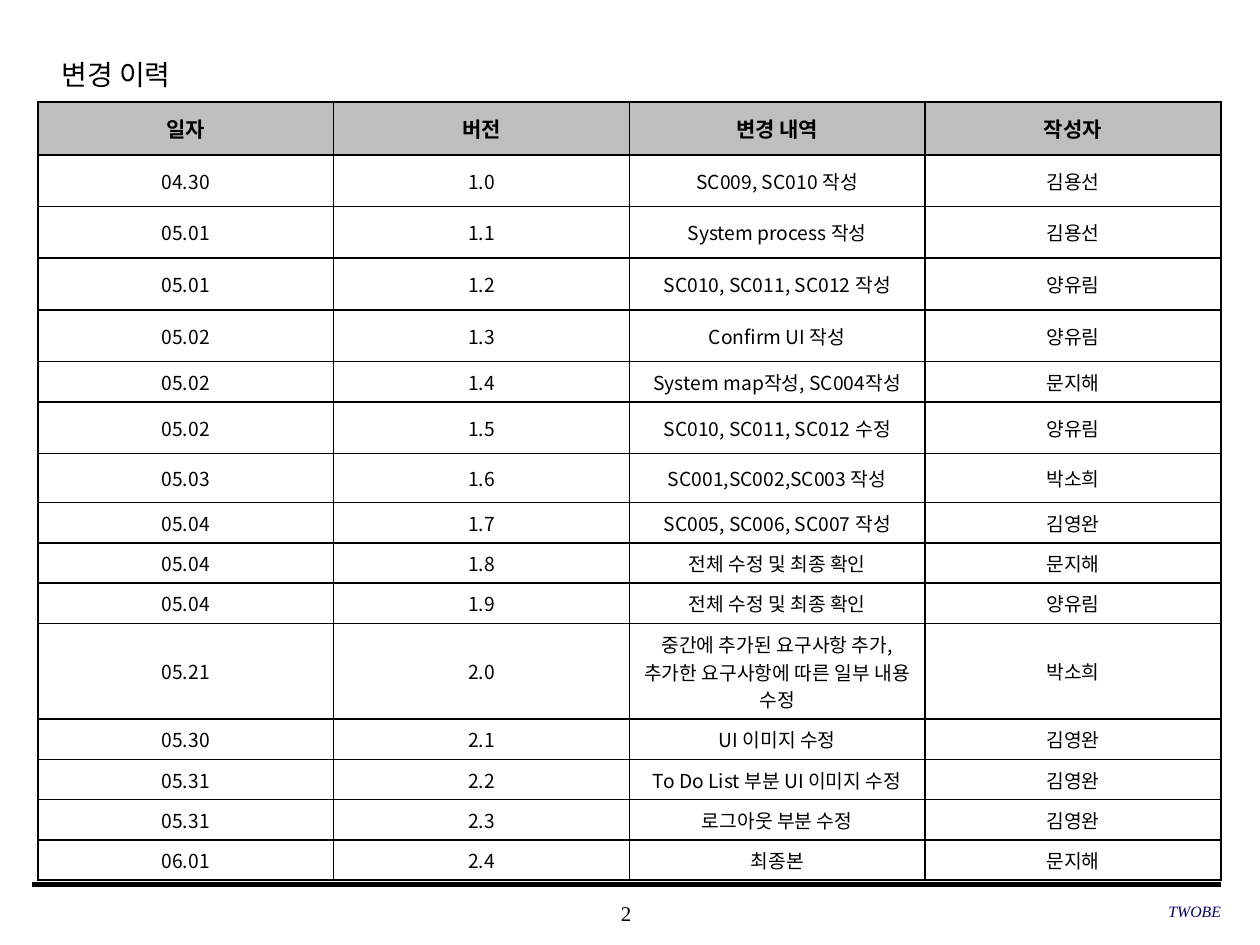
import pptx
import pptx.dml.color
import pptx.enum.text
import pptx.util
from lxml import etree
from pptx.oxml.ns import qn
from pptx.util import Inches

COLORS = {"ink": "000000", "header": "BFBFBF", "cell": "FFFFFF", "team": "000066"}
SERIF = "Times New Roman"
SANS = "Noto Sans CJK KR"
ALIGN = pptx.enum.text.PP_ALIGN
MIDDLE = pptx.enum.text.MSO_ANCHOR.MIDDLE

HEADINGS = ("일자", "버전", "변경 내역", "작성자")
# Date, version, change, author, row height
REVISIONS = [
    ("04.30", "1.0", "SC009, SC010 작성", "김용선", 0.41),
    ("05.01", "1.1", "System process 작성", "김용선", 0.41),
    ("05.01", "1.2", "SC010, SC011, SC012 작성", "양유림", 0.41),
    ("05.02", "1.3", "Confirm UI 작성", "양유림", 0.41),
    ("05.02", "1.4", "System map작성, SC004작성", "문지해", 0.32),
    ("05.02", "1.5", "SC010, SC011, SC012 수정", "양유림", 0.41),
    ("05.03", "1.6", "SC001,SC002,SC003 작성", "박소희", 0.39),
    ("05.04", "1.7", "SC005, SC006, SC007 작성", "김영완", 0.32),
    ("05.04", "1.8", "전체 수정 및 최종 확인", "문지해", 0.32),
    ("05.04", "1.9", "전체 수정 및 최종 확인", "양유림", 0.32),
    ("05.21", "2.0", "중간에 추가된 요구사항 추가, 추가한 요구사항에 따른 일부 내용 수정",
     "박소희", 0.76),
    ("05.30", "2.1", "UI 이미지 수정", "김영완", 0.32),
    ("05.31", "2.2", "To Do List 부분 UI 이미지 수정", "김영완", 0.32),
    ("05.31", "2.3", "로그아웃 부분 수정", "김영완", 0.32),
    ("06.01", "2.4", "최종본", "문지해", 0.32),
]


def rgb(color):
    return pptx.dml.color.RGBColor.from_string(COLORS[color])


def write(frame, text, size, font, align, color="ink", bold=False, italic=False):
    paragraph = frame.paragraphs[0]
    paragraph.alignment = align
    run = paragraph.add_run()
    run.text = text
    run.font.size = pptx.util.Pt(size)
    run.font.name = font
    run.font.bold = bold
    run.font.italic = italic
    run.font.color.rgb = rgb(color)
    etree.SubElement(run.font._element, qn("a:ea"), typeface=SANS)
    return paragraph


def add_label(slide, box, text, size, align, inset=0.0, **style):
    frame = slide.shapes.add_textbox(*map(Inches, box)).text_frame
    frame.word_wrap = True
    frame.vertical_anchor = MIDDLE
    frame.margin_left = frame.margin_right = Inches(inset)
    frame.margin_top = frame.margin_bottom = Inches(inset / 2)
    return write(frame, text, size, SERIF, align, **style)


def add_rule(slide, left, right, top, width):
    rule = slide.shapes.add_connector(
        pptx.enum.shapes.MSO_CONNECTOR.STRAIGHT,
        Inches(left), Inches(top), Inches(right), Inches(top))
    rule.line.color.rgb = rgb("ink")
    rule.line.width = pptx.util.Pt(width)
    etree.SubElement(rule._element.spPr, qn("a:effectLst"))


def border_cell(cell):
    properties = cell._tc.get_or_add_tcPr()
    for position, side in enumerate(("lnL", "lnR", "lnT", "lnB")):
        line = etree.Element(qn(f"a:{side}"), w=str(pptx.util.Pt(1)))
        fill = etree.SubElement(line, qn("a:solidFill"))
        etree.SubElement(fill, qn("a:srgbClr"), val=COLORS["ink"])
        properties.insert(position, line)


def fill_cell(cell, text, size, fill, bold):
    cell.fill.solid()
    cell.fill.fore_color.rgb = rgb(fill)
    cell.vertical_anchor = MIDDLE
    write(cell.text_frame, text, size, SANS, ALIGN.CENTER, bold=bold)
    border_cell(cell)


def add_history(slide):
    rows = [(*HEADINGS, 0.42), *REVISIONS]
    history = slide.shapes.add_table(
        len(rows), len(HEADINGS), Inches(0.3), Inches(0.81),
        Inches(9.39), Inches(sum(row[-1] for row in rows))).table
    for r, (*texts, height) in enumerate(rows):
        history.rows[r].height = Inches(height)
        heading = r == 0
        for c, text in enumerate(texts):
            fill_cell(history.cell(r, c), text, 12 if heading else 11,
                      "header" if heading else "cell", heading)


def main():
    deck = pptx.Presentation()
    deck.slide_width, deck.slide_height = Inches(10), Inches(7.5)
    slide = deck.slides.add_slide(deck.slide_layouts[6])

    # Footer rule and page number
    add_rule(slide, 0.25, 9.69, 7.02, 3)
    add_label(slide, (3.93, 7.08, 2.08, 0.33), "2", 12, ALIGN.CENTER)

    # Title
    title = add_label(slide, (0.39, 0.31, 7.55, 0.5), "변경 이력", 16,
                      ALIGN.LEFT, inset=0.1)
    title.line_spacing = 1.2

    # Revision history
    add_history(slide)

    # Team name
    add_label(slide, (6.63, 7.07, 3.06, 0.33), "TWOBE", 9, ALIGN.RIGHT,
              color="team", italic=True)

    deck.save("out.pptx")


if __name__ == "__main__":
    main()
